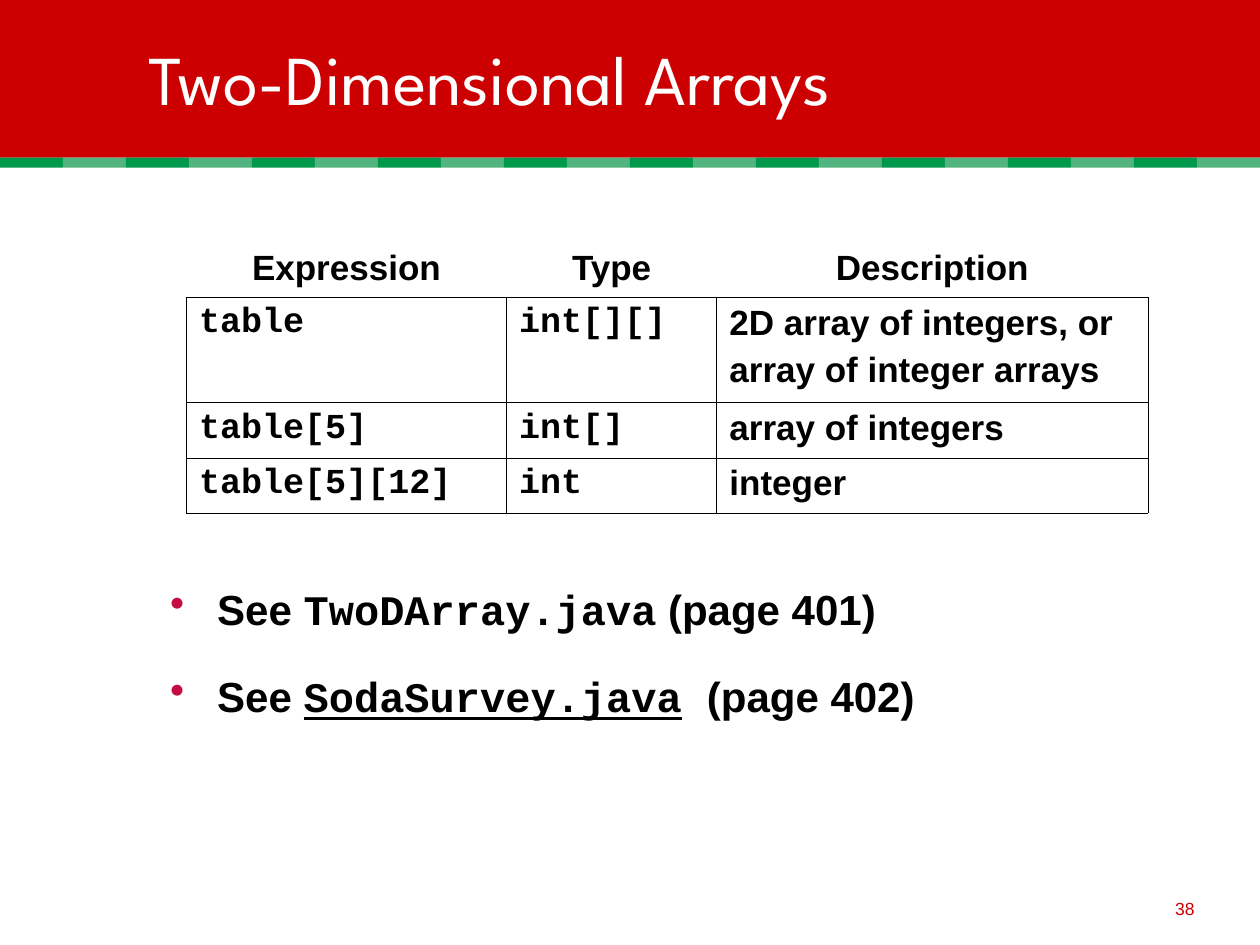
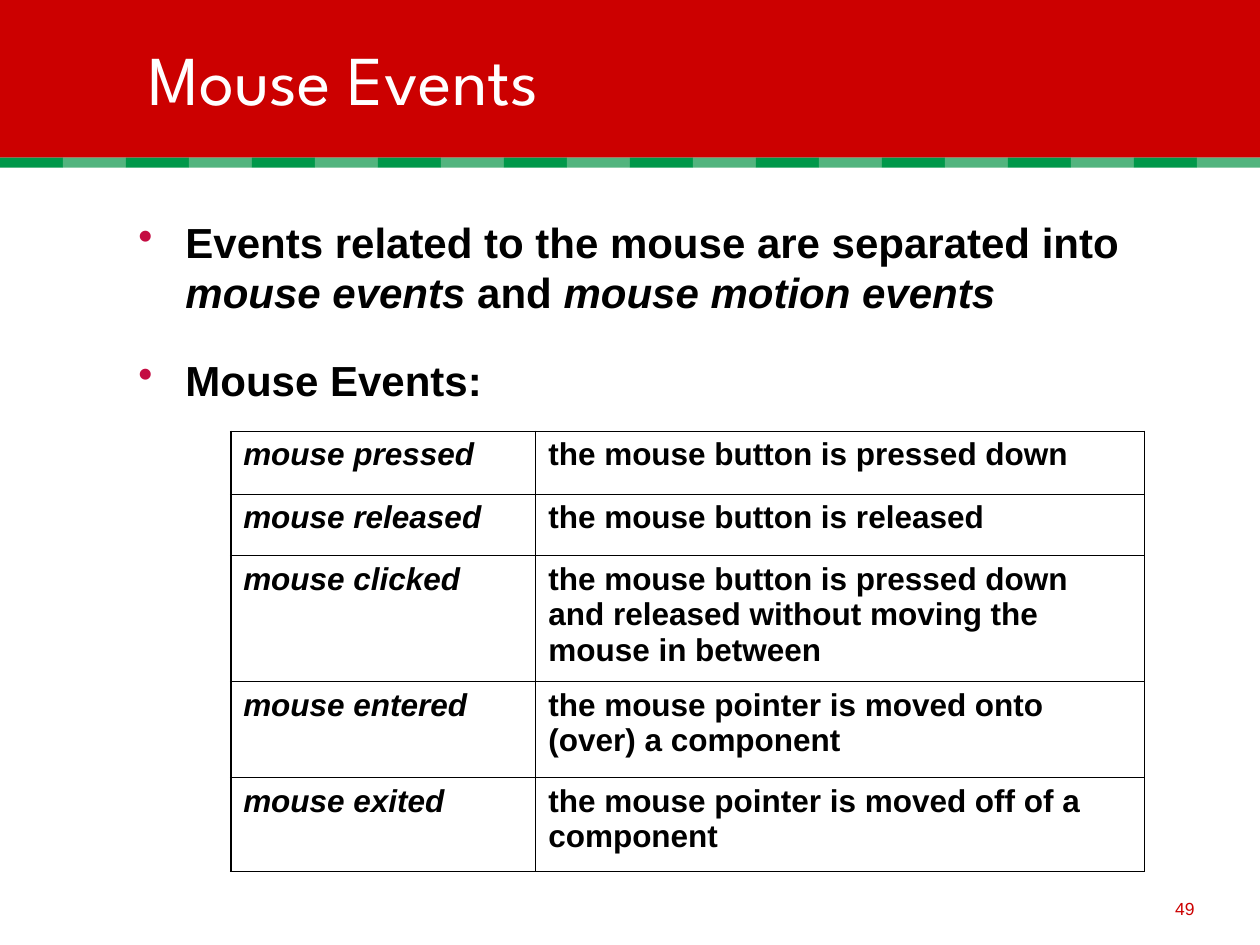
"""Build two lecture slides on two-dimensional arrays and mouse events."""
import lxml.etree
import pptx
import pptx.dml.color
import pptx.enum.shapes
import pptx.enum.text
import pptx.oxml.ns
import pptx.util

Cm, Pt = pptx.util.Cm, pptx.util.Pt
RGBColor = pptx.dml.color.RGBColor
ALIGN = pptx.enum.text.PP_ALIGN
ANCHOR = pptx.enum.text.MSO_ANCHOR
qn = pptx.oxml.ns.qn

RED = RGBColor(0xCC, 0x00, 0x00)
GREEN = RGBColor(0x00, 0x98, 0x4A)
LIGHT_GREEN = RGBColor(0x52, 0xB4, 0x7E)
CRIMSON = RGBColor(0xC4, 0x0C, 0x42)
BLACK = RGBColor(0, 0, 0)
WHITE = RGBColor(0xFF, 0xFF, 0xFF)

SANS, MONO, DISPLAY = "Arial", "Courier New", "League Spartan"
PLAIN = {}
ITALIC = {"italic": True}
CODE = {"name": MONO}
CODE_LINK = {"name": MONO, "underline": True}
THIN, THICK = 0.45, 1.08
STRIPES = 20

SLIDES = [
    {
        "title": "Two-Dimensional Arrays",
        "number": "38",
        "bullets": [
            [("See ", PLAIN), ("TwoDArray.java", CODE), (" (page 401)", PLAIN)],
            [("See ", PLAIN), ("SodaSurvey.java", CODE_LINK), (" ", CODE), ("(page 402)", PLAIN)],
        ],
        "bullets_at": (3.18, 11.63, 21.39, 3.81),
        "rows": [
            ("Expression", "Type", "Description"),
            ("table", "int[][]", "2D array of integers, or\narray of integer arrays"),
            ("table[5]", "int[]", "array of integers"),
            ("table[5][12]", "int", "integer"),
        ],
        "table_at": (3.76, 4.88),
        "widths": (6.45, 4.24, 8.69),
        "heights": (1.11, 2.13, 1.11, 1.11),
        "columns": (CODE, CODE, PLAIN),
        "header": True,
        "size": 20,
        "left_edge": THIN,
    },
    {
        "title": "Mouse Events",
        "number": "49",
        "bullets": [
            [("Events related to the mouse are separated into ", PLAIN), ("mouse events", ITALIC),
             (" and ", PLAIN), ("mouse motion events", ITALIC)],
            [("Mouse Events:", PLAIN)],
        ],
        "bullets_at": (2.54, 4.24, 22.02, 4.24),
        "rows": [
            ("mouse pressed", "the mouse button is pressed down"),
            ("mouse released", "the mouse button is released"),
            ("mouse clicked",
             "the mouse button is pressed down and released without moving the mouse in between"),
            ("mouse entered", "the mouse pointer is moved onto (over) a component"),
            ("mouse exited", "the mouse pointer is moved off of a component"),
        ],
        "table_at": (4.65, 8.69),
        "widths": (6.15, 12.27),
        "heights": (1.27, 1.24, 2.54, 1.93, 1.9),
        "columns": (ITALIC, PLAIN),
        "header": False,
        "size": 18,
        "left_edge": THICK,
    },
]


def style(font, size=None, color=None, **traits):
    if size:
        font.size = Pt(size)
    if color is not None:
        font.color.rgb = color
    for trait, value in traits.items():
        setattr(font, trait, value)


def add_band(shapes, left, top, width, height, color):
    band = shapes.add_shape(pptx.enum.shapes.MSO_SHAPE.RECTANGLE,
                            Cm(left), Cm(top), Cm(width), Cm(height))
    band.shadow.inherit = False
    band.fill.solid()
    band.fill.fore_color.rgb = color
    band.line.fill.background()
    return band


def decorate_master(prs, slide):
    banner = add_band(slide.shapes, 0, 0, 25.4, 3.18, RED)
    stripes = slide.shapes.add_group_shape()
    for i in range(STRIPES):
        add_band(stripes.shapes, i * 1.27, 3.18, 1.27, 0.2, LIGHT_GREEN if i % 2 else GREEN)
    tree = prs.slide_master.element.cSld.spTree
    tree.insert(2, banner.element)
    tree.insert(3, stripes.element)
    for number, properties in enumerate(tree.iter(qn("p:cNvPr")), 1):
        properties.set("id", str(number))


def add_title(slide, text):
    title = slide.shapes.title
    title.left, title.top, title.width, title.height = Cm(2.74), Cm(0.61), Cm(22.02), Cm(1.9)
    frame = title.text_frame
    frame.text = text
    frame.auto_size = pptx.enum.text.MSO_AUTO_SIZE.NONE
    frame.vertical_anchor = ANCHOR.MIDDLE
    frame.paragraphs[0].alignment = ALIGN.LEFT
    style(frame.paragraphs[0].font, 40, WHITE, name=DISPLAY)


def add_text_frame(slide, place):
    frame = slide.shapes.add_textbox(*map(Cm, place)).text_frame
    frame.word_wrap = True
    return frame


def add_bullet(paragraph):
    properties = paragraph._p.get_or_add_pPr()
    properties.set("marL", str(Cm(0.95)))
    properties.set("indent", str(-Cm(0.95)))
    color = lxml.etree.SubElement(properties, qn("a:buClr"))
    lxml.etree.SubElement(color, qn("a:srgbClr"), val=str(CRIMSON))
    lxml.etree.SubElement(properties, qn("a:buChar"), char="•")


def add_bullets(slide, bullets, place):
    frame = add_text_frame(slide, place)
    for i, runs in enumerate(bullets):
        paragraph = frame.add_paragraph() if i else frame.paragraphs[0]
        add_bullet(paragraph)
        if i:
            paragraph.space_before = Pt(21)
        style(paragraph.font, 24, BLACK, name=SANS, bold=True)
        for text, traits in runs:
            run = paragraph.add_run()
            run.text = text
            style(run.font, **traits)


def set_borders(cell, widths):
    properties = cell._tc.get_or_add_tcPr()
    for side, width in zip("LRTB", widths):
        line = lxml.etree.SubElement(properties, qn(f"a:ln{side}"), w=str(Pt(width)))
        if width:
            fill = lxml.etree.SubElement(line, qn("a:solidFill"))
            lxml.etree.SubElement(fill, qn("a:srgbClr"), val=str(BLACK))
        else:
            lxml.etree.SubElement(line, qn("a:noFill"))


def add_table(slide, content):
    rows, widths, heights = content["rows"], content["widths"], content["heights"]
    left, top = content["table_at"]
    table = slide.shapes.add_table(len(rows), len(widths), Cm(left), Cm(top),
                                   Cm(sum(widths)), Cm(sum(heights))).table
    table.first_row = table.horz_banding = False
    for column, width in zip(table.columns, widths):
        column.width = Cm(width)
    for row, height in zip(table.rows, heights):
        row.height = Cm(height)
    for r, texts in enumerate(rows):
        heading = content["header"] and r == 0
        for c, (text, traits) in enumerate(zip(texts, content["columns"])):
            cell = table.cell(r, c)
            left_edge = THIN if c else content["left_edge"]
            set_borders(cell, (0, 0, 0, THIN) if heading else (left_edge, THIN, THIN, THIN))
            cell.fill.background()
            cell.text = text
            for i, paragraph in enumerate(cell.text_frame.paragraphs):
                if heading:
                    paragraph.alignment = ALIGN.CENTER
                if i:
                    paragraph.space_before = Pt(content["size"] / 4)
                look = {"name": SANS, "bold": True, **(PLAIN if heading else traits)}
                style(paragraph.font, content["size"], BLACK, **look)


def add_page_number(slide, number):
    frame = add_text_frame(slide, (19.05, 17.58, 5.28, 1.07))
    frame.vertical_anchor = ANCHOR.BOTTOM
    frame.text = number
    frame.paragraphs[0].alignment = ALIGN.RIGHT
    style(frame.paragraphs[0].font, 10, RED, name=SANS)


def main():
    prs = pptx.Presentation()
    prs.slide_width, prs.slide_height = Cm(25.4), Cm(19.05)
    for i, content in enumerate(SLIDES):
        slide = prs.slides.add_slide(prs.slide_layouts[5])
        if i == 0:
            decorate_master(prs, slide)
        add_title(slide, content["title"])
        add_bullets(slide, content["bullets"], content["bullets_at"])
        add_table(slide, content)
        add_page_number(slide, content["number"])
    prs.save("out.pptx")


if __name__ == "__main__":
    main()
